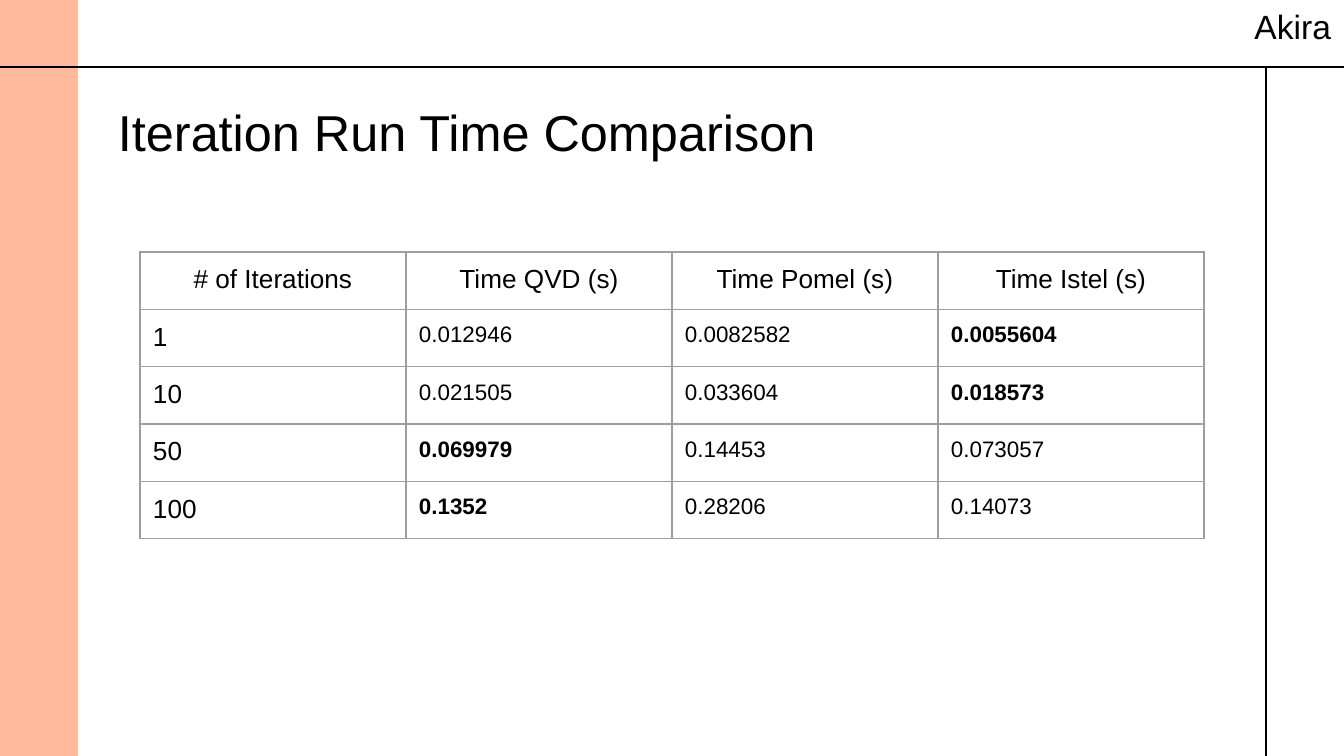
from lxml.etree import SubElement
from pptx import Presentation
from pptx.dml.color import RGBColor
from pptx.enum.shapes import MSO_CONNECTOR, MSO_SHAPE
from pptx.enum.text import MSO_ANCHOR, PP_ALIGN
from pptx.oxml.ns import qn
from pptx.util import Pt

SCALE = 914400 / 134.4
PAGE_WIDTH, PAGE_HEIGHT = 1344, 756
INSET = 13
FONT = "Arial"
BLACK = RGBColor(0x00, 0x00, 0x00)
ORANGE = RGBColor(0xFF, 0x56, 0x0D)
GRAY = RGBColor(0x9E, 0x9E, 0x9E)

HEADERS = ["# of Iterations", "Time QVD (s)", "Time Pomel (s)", "Time Istel (s)"]
RUN_TIMES = [
    ["1", "0.012946", "0.0082582", "0.0055604"],
    ["10", "0.021505", "0.033604", "0.018573"],
    ["50", "0.069979", "0.14453", "0.073057"],
    ["100", "0.1352", "0.28206", "0.14073"],
]


def px(length):
    return round(length * SCALE)


def format_text(para, size, align=PP_ALIGN.LEFT, bold=False):
    para.alignment = align
    for span in para.runs:
        span.font.name = FONT
        span.font.size = Pt(size)
        span.font.bold = bold
        span.font.color.rgb = BLACK


def set_margins(target):
    target.margin_left = target.margin_right = px(INSET)
    target.margin_top = target.margin_bottom = px(INSET)


def add_text(page, box, text, size, align, anchor, spacing):
    frame = page.shapes.add_textbox(*map(px, box)).text_frame
    frame.word_wrap = True
    frame.vertical_anchor = anchor
    set_margins(frame)
    frame.text = text
    para = frame.paragraphs[0]
    para.line_spacing = spacing
    format_text(para, size, align)


def add_rule(page, start, end):
    rule = page.shapes.add_connector(MSO_CONNECTOR.STRAIGHT, *map(px, start + end))
    rule.line.color.rgb = BLACK
    rule.line.width = Pt(0.75)
    SubElement(rule._element.spPr, qn("a:effectLst"))


def add_frame(page, box):
    left, top, width, height = box
    band = page.shapes.add_shape(
        MSO_SHAPE.RECTANGLE, px(left), px(top), px(78), px(height))
    band.shadow.inherit = False
    band.line.fill.background()
    band.fill.solid()
    band.fill.fore_color.rgb = ORANGE
    color = band._element.spPr.find(qn("a:solidFill"))[0]
    SubElement(color, qn("a:alpha"), val="41000")

    header_bottom, margin_left = top + 67, left + width - 78
    add_rule(page, (left, header_bottom), (left + width, header_bottom))
    add_rule(page, (margin_left, header_bottom), (margin_left, top + height))


def style_cell(cell):
    set_margins(cell)
    properties = cell._tc.get_or_add_tcPr()
    for side in ("a:lnL", "a:lnR", "a:lnT", "a:lnB"):
        border = SubElement(properties, qn(side), w=str(Pt(0.75)))
        fill = SubElement(border, qn("a:solidFill"))
        SubElement(fill, qn("a:srgbClr"), val=str(GRAY))
    cell.fill.background()


def add_run_times(page, box):
    rows = [HEADERS] + RUN_TIMES
    left, top, width, height = map(px, box)
    table = page.shapes.add_table(
        len(rows), len(HEADERS), left, top, width, height).table
    table.first_row = table.horz_banding = False
    for row_index, values in enumerate(rows):
        is_header = row_index == 0
        fastest = None if is_header else min(values[1:], key=float)
        for column_index, value in enumerate(values):
            cell = table.cell(row_index, column_index)
            style_cell(cell)
            para = cell.text_frame.paragraphs[0]
            para.text = value
            is_label = is_header or column_index == 0
            format_text(
                para,
                14 if is_label else 12,
                PP_ALIGN.CENTER if is_header else PP_ALIGN.LEFT,
                not is_label and value == fastest,
            )


def main():
    deck = Presentation()
    deck.slide_width, deck.slide_height = px(PAGE_WIDTH), px(PAGE_HEIGHT)
    page = deck.slides.add_slide(deck.slide_layouts[6])
    add_frame(page, (0, 0, PAGE_WIDTH, PAGE_HEIGHT))
    add_text(page, (105, 81, 1134, 85), "Iteration Run Time Comparison",
             27, PP_ALIGN.LEFT, MSO_ANCHOR.TOP, 1.12)
    add_run_times(page, (140, 252, 1064, 281))
    add_text(page, (969, 13, 375, 46), "Akira",
             18, PP_ALIGN.RIGHT, MSO_ANCHOR.BOTTOM, 1.0)
    deck.save("out.pptx")


if __name__ == "__main__":
    main()
